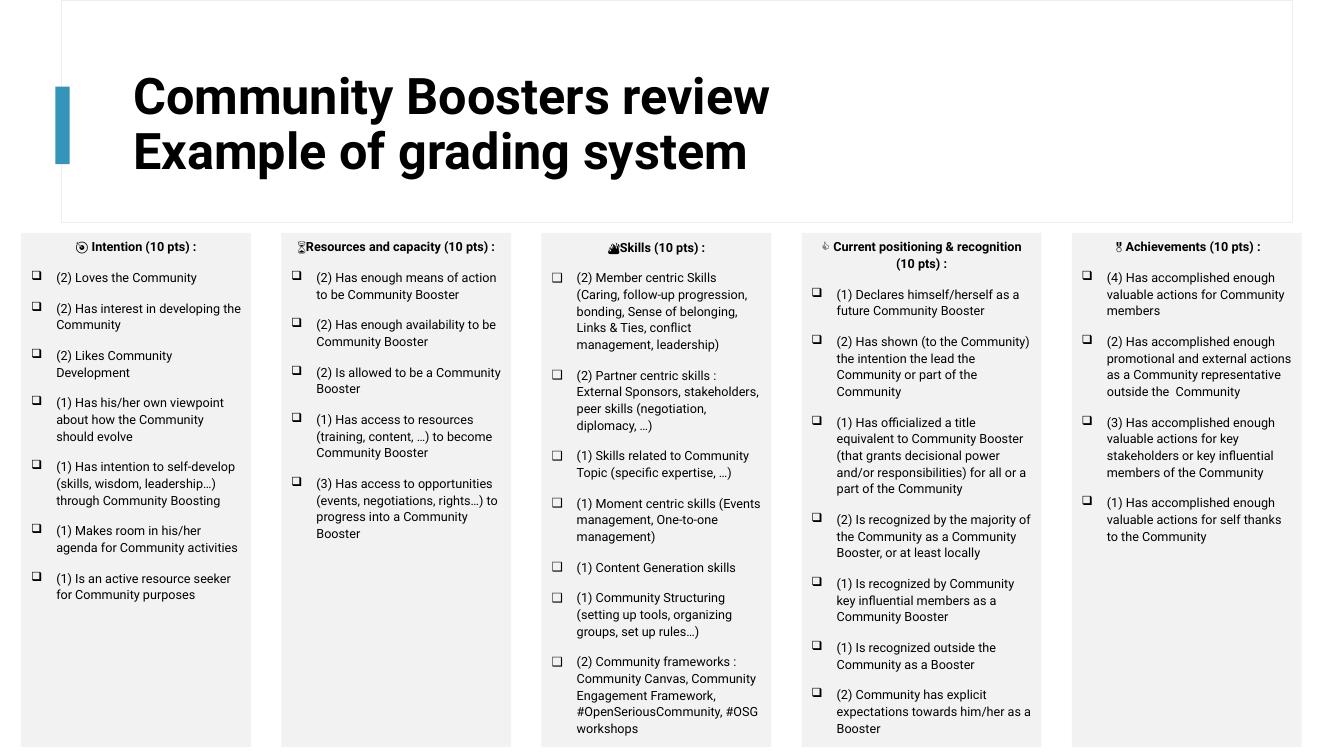
from lxml.etree import SubElement
from pptx import Presentation
from pptx.dml.color import RGBColor
from pptx.enum.shapes import MSO_SHAPE
from pptx.enum.text import MSO_ANCHOR, MSO_AUTO_SIZE, PP_ALIGN
from pptx.oxml.ns import qn
from pptx.util import Inches, Pt

TITLE = ["Community Boosters review", "Example of grading system"]
COLUMNS = [
    ("🎯 Intention (10 pts) :", 2.28, [
        "(2) Loves the Community",
        "(2) Has interest in developing the Community",
        "(2) Likes Community Development",
        "(1) Has his/her own viewpoint about how the Community should evolve",
        "(1) Has intention to self-develop (skills, wisdom, leadership…) through Community Boosting",
        "(1) Makes room in his/her agenda for Community activities",
        "(1) Is an active resource seeker for Community purposes",
    ]),
    ("⌛Resources and capacity (10 pts) :", 2.28, [
        "(2) Has enough means of action to be Community Booster",
        "(2) Has enough availability to be Community Booster",
        "(2) Is allowed to be a Community Booster",
        "(1) Has access to resources (training, content, …) to become Community Booster",
        "(3) Has access to opportunities (events, negotiations, rights…) to progress into a Community Booster",
    ]),
    ("🔥Skills (10 pts) :", 2.28, [
        "(2) Member centric Skills (Caring, follow-up progression, bonding, Sense of belonging, "
        "Links & Ties, conflict management, leadership)",
        "(2) Partner centric skills : External Sponsors, stakeholders, peer skills (negotiation, diplomacy, …)",
        "(1) Skills related to Community Topic (specific expertise, …)",
        "(1) Moment centric skills (Events management, One-to-one management)",
        "(1) Content Generation skills",
        "(1) Community Structuring (setting up tools, organizing groups, set up rules…)",
        "(2) Community frameworks : Community Canvas, Community Engagement Framework, "
        "#OpenSeriousCommunity, #OSG workshops",
    ]),
    ("👍 Current positioning & recognition (10 pts) :", 2.38, [
        "(1) Declares himself/herself as a future Community Booster",
        "(2) Has shown (to the Community) the intention the lead the Community or part of the Community",
        "(1) Has officialized a title equivalent to Community Booster (that grants decisional power "
        "and/or responsibilities) for all or a part of the Community",
        "(2) Is recognized by the majority of the Community as a Community Booster, or at least locally",
        "(1) Is recognized by Community key influential members as a Community Booster",
        "(1) Is recognized outside the Community as a Booster",
        "(2) Community has explicit expectations towards him/her as a Booster",
    ]),
    ("🎖️Achievements (10 pts) :", 2.28, [
        "(4) Has accomplished enough valuable actions for Community members",
        "(2) Has accomplished enough promotional and external actions as a Community representative "
        "outside the  Community",
        "(3) Has accomplished enough valuable actions for key stakeholders or key influential "
        "members of the Community",
        "(1) Has accomplished enough valuable actions for self thanks to the Community",
    ]),
]
BODY_COLUMN = 2
FIRST_LEFT, COLUMN_TOP, COLUMN_HEIGHT, GAP = 0.21, 2.31, 5.1, 0.3

FONT = "Roboto"
BLACK = RGBColor(0x00, 0x00, 0x00)
WHITE = RGBColor(0xFF, 0xFF, 0xFF)
PANEL = RGBColor(0xF2, 0xF2, 0xF2)
FRAME_LINE = RGBColor(0xEB, 0xEE, 0xF2)
ACCENT = RGBColor(0x34, 0x94, 0xBA)


def place(shape, left, top, width, height):
    shape.left, shape.top = Inches(left), Inches(top)
    shape.width, shape.height = Inches(width), Inches(height)


def add_backdrop(slide, layer, box, fill, line=None):
    shape = slide.shapes.add_shape(MSO_SHAPE.RECTANGLE, *map(Inches, box))
    shape.shadow.inherit = False
    shape.fill.solid()
    shape.fill.fore_color.rgb = fill
    if line is None:
        shape.line.fill.background()
    else:
        shape.line.color.rgb = line
        shape.line.width = Pt(0.75)
    shape._element.getparent().insert(2 + layer, shape._element)


def add_run(paragraph, text, size, bold):
    run = paragraph.add_run()
    run.text = text
    run.font.name = FONT
    run.font.size = Pt(size)
    run.font.bold = bold
    run.font.color.rgb = BLACK


def set_bullet(paragraph, character):
    properties = paragraph._p.get_or_add_pPr()
    indent = Inches(0.25) if character else 0
    properties.set("marL", str(indent))
    properties.set("indent", str(-indent))
    if character:
        SubElement(properties, qn("a:buChar")).set("char", character)
    else:
        SubElement(properties, qn("a:buNone"))


def fill_title(title):
    place(title, 1.22, 0.6, 11.12, 1.29)
    frame = title.text_frame
    frame.auto_size = MSO_AUTO_SIZE.NONE
    frame.vertical_anchor = MSO_ANCHOR.MIDDLE
    paragraph = frame.paragraphs[0]
    paragraph.alignment = PP_ALIGN.LEFT
    paragraph.line_spacing = 0.9
    for number, line in enumerate(TITLE):
        if number:
            paragraph.add_line_break()
        add_run(paragraph, line, 36, True)


def fill_column(shape, heading, criteria):
    shape.fill.solid()
    shape.fill.fore_color.rgb = PANEL
    frame = shape.text_frame
    frame.word_wrap = True
    frame.auto_size = MSO_AUTO_SIZE.NONE
    frame.vertical_anchor = MSO_ANCHOR.TOP
    for number, text in enumerate([heading, *criteria]):
        is_heading = number == 0
        paragraph = frame.paragraphs[0] if is_heading else frame.add_paragraph()
        set_bullet(paragraph, None if is_heading else "❑")
        paragraph.alignment = PP_ALIGN.CENTER if is_heading else PP_ALIGN.LEFT
        paragraph.line_spacing = 1.1
        paragraph.space_before = Pt(0 if is_heading else 10)
        add_run(paragraph, text, 9, is_heading)


def main():
    presentation = Presentation()
    presentation.slide_width, presentation.slide_height = Inches(13.33), Inches(7.5)
    slide = presentation.slides.add_slide(presentation.slide_layouts[1])
    add_backdrop(slide, 0, (0.61, 0, 12.21, 2.21), WHITE, FRAME_LINE)
    add_backdrop(slide, 1, (0.55, 0.86, 0.14, 0.77), ACCENT)
    fill_title(slide.shapes.title)

    left = FIRST_LEFT
    for number, (heading, width, criteria) in enumerate(COLUMNS):
        if number == BODY_COLUMN:
            shape = slide.placeholders[1]
        else:
            shape = slide.shapes.add_textbox(0, 0, 0, 0)
        place(shape, left, COLUMN_TOP, width, COLUMN_HEIGHT)
        fill_column(shape, heading, criteria)
        left += width + GAP
    presentation.save("out.pptx")


if __name__ == "__main__":
    main()
